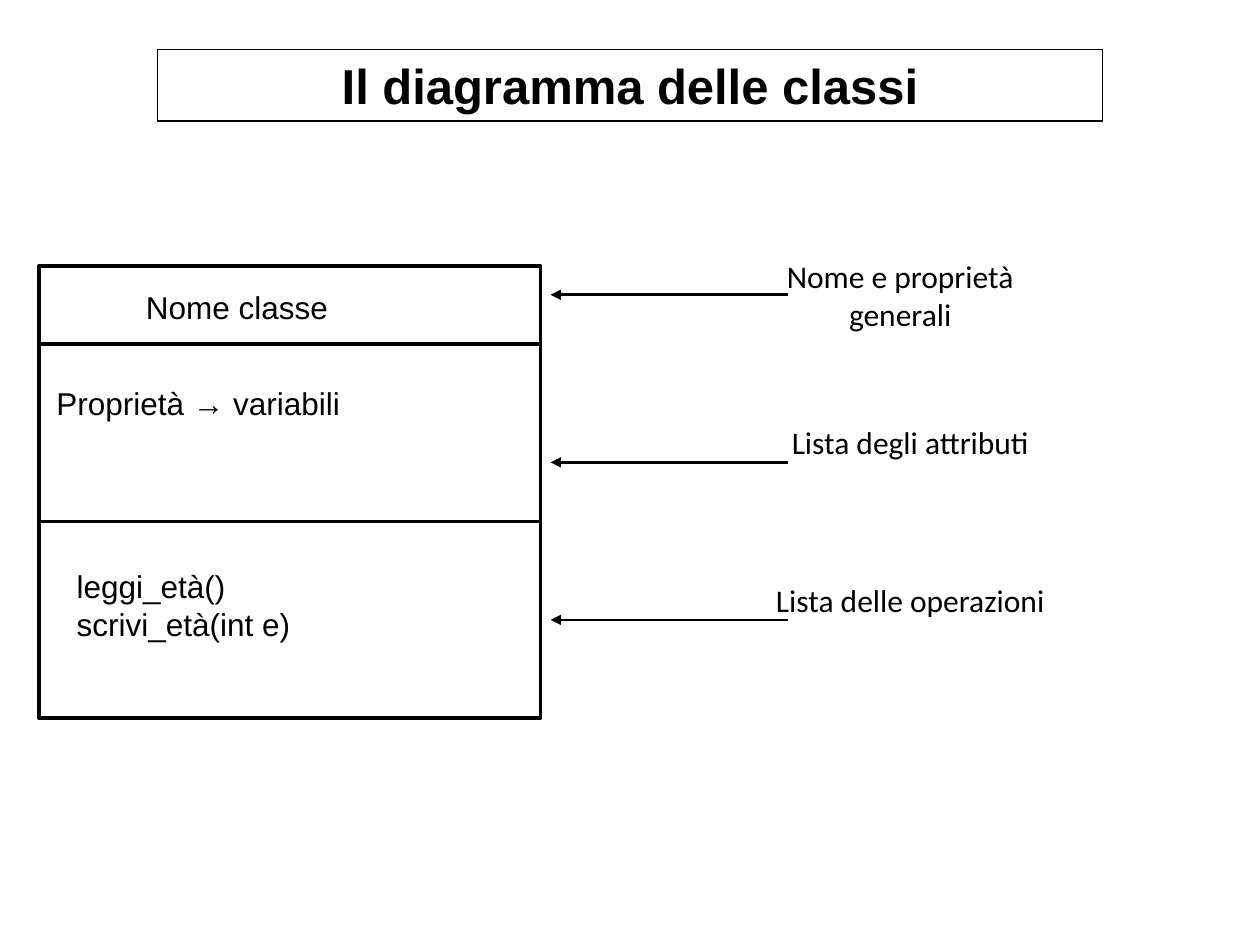
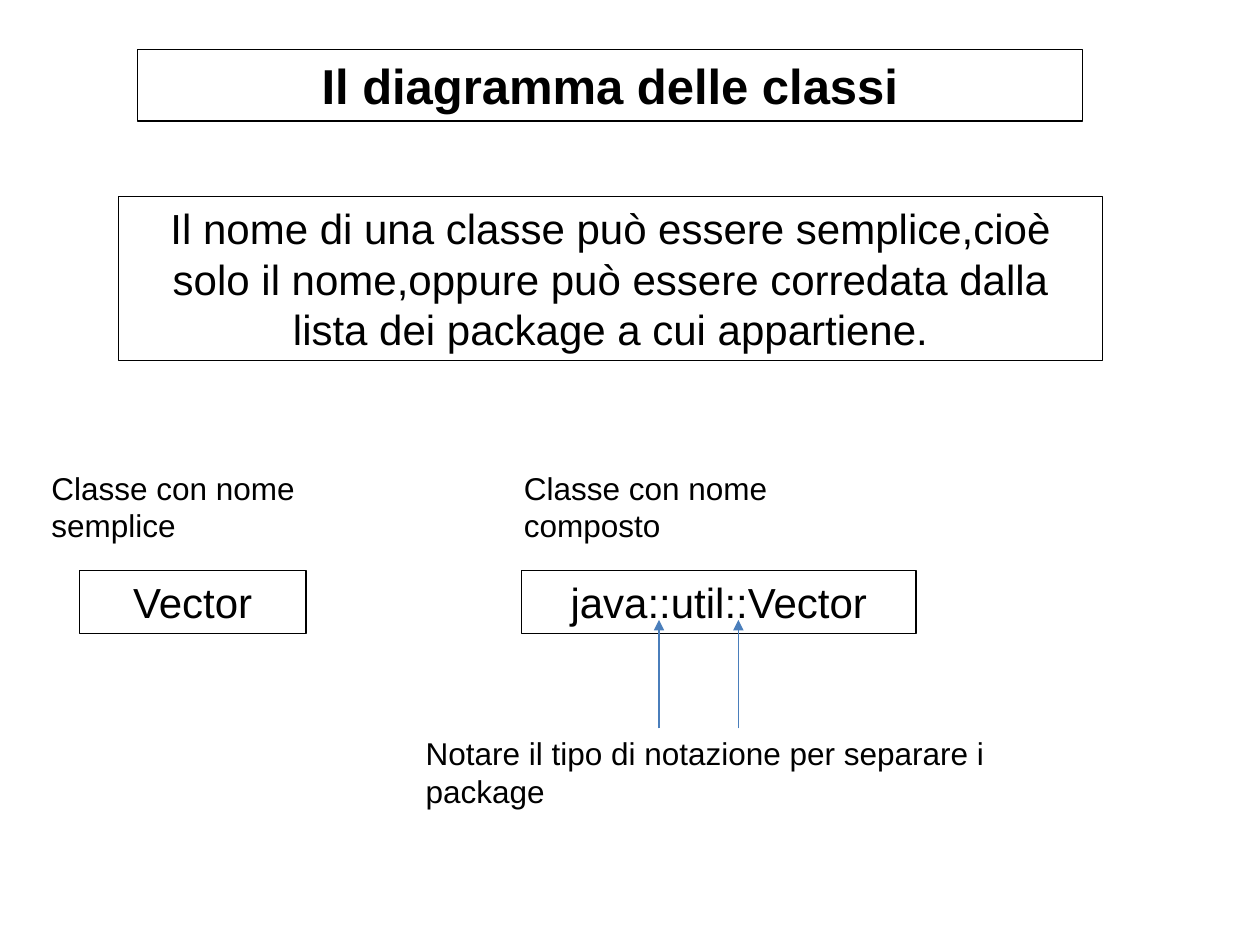
from lxml.etree import SubElement
from pptx import Presentation
from pptx.dml.color import RGBColor
from pptx.enum.shapes import MSO_CONNECTOR, MSO_SHAPE
from pptx.enum.text import MSO_ANCHOR, MSO_AUTO_SIZE, PP_ALIGN
from pptx.oxml.ns import qn
from pptx.util import Inches, Pt

HUES = {"ink": "000000", "blue": "4A7EBB"}
TITLE = "Il diagramma delle classi"


def hue(name):
    """Return the named colour."""
    return RGBColor.from_string(HUES[name])


def write(shape, text, size=18, font="Arial", bold=False,
          align=PP_ALIGN.LEFT, anchor=MSO_ANCHOR.TOP):
    """Fill a shape with text, one paragraph a line."""
    frame = shape.text_frame
    frame.text = text
    frame.word_wrap = True
    frame.auto_size = MSO_AUTO_SIZE.NONE
    frame.vertical_anchor = anchor
    for para in frame.paragraphs:
        para.alignment = align
        para.font.size = Pt(size)
        para.font.name = font
        para.font.bold = bold
        para.font.color.rgb = hue("ink")


def edge(shape, width=0.75):
    """Give a shape or line a dark outline."""
    shape.line.color.rgb = hue("ink")
    shape.line.width = Pt(width)


def label(slide, box, text, **form):
    """Add a plain text box."""
    write(slide.shapes.add_textbox(*map(Inches, box)), text, **form)


def frame(slide, box, text="", width=0.75, **form):
    """Add an outlined, unfilled rectangle with optional text."""
    shape = slide.shapes.add_shape(MSO_SHAPE.RECTANGLE, *map(Inches, box))
    shape.shadow.inherit = False
    shape.fill.background()
    edge(shape, width)
    if text:
        write(shape, text, align=PP_ALIGN.CENTER, **form)


def arrow(slide, start, end, color="ink", width=1.5):
    """Add a straight arrow with its head at the end point."""
    line = slide.shapes.add_connector(
        MSO_CONNECTOR.STRAIGHT, *map(Inches, start + end))
    line.line.color.rgb = hue(color)
    line.line.width = Pt(width)
    props = line._element.spPr
    SubElement(props.find(qn("a:ln")), qn("a:tailEnd"), type="triangle")
    SubElement(props, qn("a:effectLst"))


def start(deck, left):
    """Add a slide with the framed title."""
    slide = deck.slides.add_slide(deck.slide_layouts[5])
    title = slide.shapes.title
    title.left, title.top = Inches(left), Inches(0.39)
    title.width, title.height = Inches(7.5), Inches(0.57)
    edge(title)
    write(title, TITLE, size=28, bold=True, align=PP_ALIGN.CENTER)
    return slide


def model(slide, box):
    """Draw the class with its name, attributes and operations."""
    left, top, width = box
    for high in (0.62, 1.41, 1.56):
        frame(slide, (left, top, width, high), width=2)
        top += high
    top = box[1]
    label(slide, (left + 0.75, top + 0.13, 2.6, 0.4), "Nome classe")
    label(slide, (left + 0.04, top + 0.89, 3.46, 0.4),
          "Proprietà → variabili")
    label(slide, (left + 0.2, top + 2.34, 2.28, 1),
          "leggi_età()\nscrivi_età(int e)")


def notes(slide, box):
    """Add the arrows and captions beside the class."""
    left, top = box
    rows = (("Nome e proprietà generali", 1.41, 0, 0.31),
            ("Lista degli attributi", 1.49, 1.17, 1.64),
            ("Lista delle operazioni", 1.49, 2.42, 2.89))
    for text, shift, down, tip in rows:
        label(slide, (left + shift, top + down, 2.73, 0.62), text,
              font="Calibri", align=PP_ALIGN.CENTER,
              anchor=MSO_ANCHOR.MIDDLE)
        arrow(slide, (left + 1.88, top + tip), (left, top + tip))


def sample(slide, box, kind, name, inset, width):
    """Show a captioned example of a class name."""
    left, top = box
    label(slide, (left, top, 2.27, 0.7), f"Classe con nome {kind}")
    frame(slide, (left + inset, top + 0.86, width, 0.5), name, size=24)


def remark(slide, box):
    """Point at the separators and explain them."""
    left, top = box
    label(slide, (left, top, 5.16, 0.7),
          "Notare il tipo di notazione per separare i package")
    for shift in (1.95, 2.58):
        arrow(slide, (left + shift, top), (left + shift, top - 0.86),
              color="blue", width=0.75)


def parts(deck):
    """Build the slide on the parts of a class."""
    slide = start(deck, 1.25)
    model(slide, (0.31, 2.11, 3.98))
    notes(slide, (4.37, 2.03))


def names(deck):
    """Build the slide on class names."""
    slide = start(deck, 1.09)
    frame(slide, (0.94, 1.56, 7.81, 1.3),
          "Il nome di una classe può essere semplice,cioè solo il nome,"
          "oppure può essere corredata dalla lista dei package a cui "
          "appartiene.", size=24)
    sample(slide, (0.31, 3.67), "semplice", "Vector", 0.32, 1.8)
    sample(slide, (4.06, 3.67), "composto", "java::util::Vector", 0.08, 3.13)
    remark(slide, (3.28, 5.78))


def main():
    """Build and save the deck."""
    deck = Presentation()
    deck.slide_width, deck.slide_height = Inches(10), Inches(7.5)
    parts(deck)
    names(deck)
    deck.save("out.pptx")


if __name__ == "__main__":
    main()
